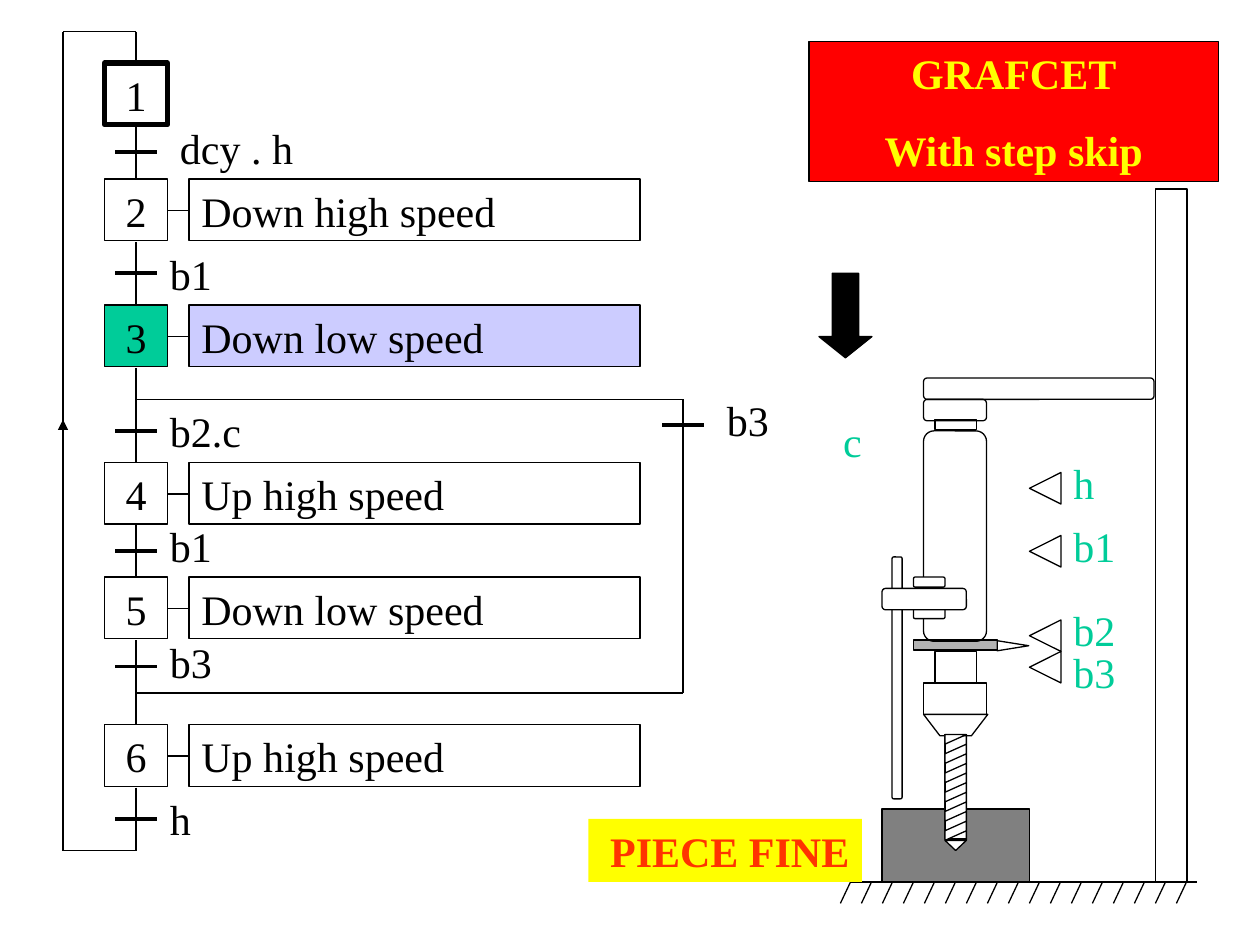
from lxml import etree
from pptx import Presentation
from pptx.dml.color import RGBColor
from pptx.enum.shapes import MSO_CONNECTOR, MSO_SHAPE
from pptx.enum.text import MSO_ANCHOR, MSO_AUTO_SIZE, PP_ALIGN
from pptx.oxml.ns import qn
from pptx.util import Inches, Pt

RECTANGLE, ROUNDED = MSO_SHAPE.RECTANGLE, MSO_SHAPE.ROUNDED_RECTANGLE
TRIANGLE, DOWN_ARROW = MSO_SHAPE.ISOSCELES_TRIANGLE, MSO_SHAPE.DOWN_ARROW
STRAIGHT = MSO_CONNECTOR.STRAIGHT
LEFT, CENTER, RIGHT = PP_ALIGN.LEFT, PP_ALIGN.CENTER, PP_ALIGN.RIGHT
TOP, NO_AUTO_SIZE = MSO_ANCHOR.TOP, MSO_AUTO_SIZE.NONE
FONT, SIZE = "Times New Roman", 24
BLACK, WHITE, GREEN, LAVENDER = "000000", "FFFFFF", "00CC99", "CCCCFF"
YELLOW, RED, ORANGE = "FFFF00", "FF0000", "FF3300"
GREY, LIGHT_GREY = "808080", "B2B2B2"

TITLE = ["GRAFCET", "With step skip"]
STEPS = [
    (0.5, "1", None, None, None, 3),
    (1.42, "2", "Down high speed", None, None, 0.75),
    (2.42, "3", "Down low speed", GREEN, LAVENDER, 0.75),
    (3.67, "4", "Up high speed", None, None, 0.75),
    (4.58, "5", "Down low speed", None, None, 0.75),
    (5.75, "6", "Up high speed", None, None, 0.75),
]
AXIS, BRANCH, RETURN = 1.08, 5.42, 0.5
TRANSITIONS = [
    (AXIS, 1, 1.42, "dcy . h", 1.33, 0.92),
    (AXIS, 1.92, 2.42, "b1", 1.25, 1.92),
    (AXIS, 3.17, 3.67, "b2.c", 1.25, 3.17),
    (AXIS, 4.17, 4.58, "b1", 1.25, 4.08),
    (AXIS, 5.08, 5.5, "b3", 1.25, 5),
    (AXIS, 6.25, 6.75, "h", 1.25, 6.25),
    (BRANCH, 3.17, 3.58, "b3", 5.67, 3.08),
]
LINKS = [
    (RETURN, 6.75, RETURN, 0.25),
    (RETURN, 0.25, AXIS, 0.25),
    (AXIS, 0.25, AXIS, 0.5),
    (AXIS, 2.92, AXIS, 3.25),
    (AXIS, 3.17, BRANCH, 3.17),
    (AXIS, 5.5, AXIS, 5.75),
    (AXIS, 5.5, BRANCH, 5.5),
    (BRANCH, 5.5, BRANCH, 3.5),
    (RETURN, 6.75, AXIS, 6.75),
]
SENSORS = [("h", 3.75, 3.58), ("b1", 4.25, 4.08), ("b2", 4.92, 4.75), ("b3", 5.17, 5.08)]
GROUND, HATCH_COUNT = 7, 17
MACHINE = [
    (ROUNDED, 7.08, 4.42, 0.08, 1.92, None),
    (RECTANGLE, 9.17, 1.5, 0.25, 5.5, None),
    (DOWN_ARROW, 6.5, 2.17, 0.42, 0.67, BLACK),
    (RECTANGLE, 7, 6.42, 1.17, 0.58, GREY),
    (RECTANGLE, 7.5, 5.83, 0.17, 0.83, WHITE),
    (RECTANGLE, 7.33, 5.42, 0.5, 0.25, None),
    (RECTANGLE, 7.42, 5.17, 0.33, 0.25, None),
    (RECTANGLE, 7.25, 5.08, 0.67, 0.08, LIGHT_GREY),
    (ROUNDED, 7.33, 3.42, 0.5, 1.67, None),
    (RECTANGLE, 7.42, 3.33, 0.33, 0.08, None),
    (ROUNDED, 7.33, 3.17, 0.5, 0.17, None),
    (ROUNDED, 7.25, 4.58, 0.25, 0.08, WHITE),
    (ROUNDED, 7.25, 4.83, 0.25, 0.08, WHITE),
    (ROUNDED, 7, 4.67, 0.67, 0.17, WHITE),
    (ROUNDED, 7.33, 3, 1.83, 0.17, None),
]
CHUCK = [(7.33, 5.67), (7.46, 5.84), (7.71, 5.84), (7.84, 5.67)]
BIT_LEFT, BIT_RIGHT, BIT_TOP, BIT_BOTTOM, TURNS = 7.5, 7.67, 5.83, 6.67, 5


def paint(shape, fill, line=BLACK, width=0.75):
    """Set the fill and outline, where None means none."""
    if fill:
        shape.fill.solid()
        shape.fill.fore_color.rgb = RGBColor.from_string(fill)
    else:
        shape.fill.background()
    if line:
        shape.line.color.rgb = RGBColor.from_string(line)
        shape.line.width = Pt(width)
    else:
        shape.line.fill.background()


def write(shape, text, color=BLACK, align=LEFT, bold=False, wrap=True):
    """Put formatted text at the top of a shape."""
    frame = shape.text_frame
    frame.text = text
    frame.auto_size = NO_AUTO_SIZE
    frame.word_wrap = wrap
    frame.vertical_anchor = TOP
    frame.margin_left = frame.margin_right = Inches(0.1)
    frame.margin_top = frame.margin_bottom = Inches(0.05)
    for index, paragraph in enumerate(frame.paragraphs):
        paragraph.alignment = align
        paragraph.space_before = Pt(15 if index else 0)
        for run in paragraph.runs:
            run.font.name, run.font.size, run.font.bold = FONT, Pt(SIZE), bold
            run.font.color.rgb = RGBColor.from_string(color)


def add_shape(slide, kind, left, top, width, height, fill=None, line=BLACK, weight=0.75):
    """Add a preset shape."""
    shape = slide.shapes.add_shape(kind, Inches(left), Inches(top), Inches(width), Inches(height))
    shape.shadow.inherit = False
    paint(shape, fill, line, weight)
    return shape


def add_label(slide, text, left, top, width, color=BLACK, align=LEFT, wrap=True):
    """Add a text box."""
    box = slide.shapes.add_textbox(Inches(left), Inches(top), Inches(width), Inches(0.5))
    write(box, text, color, align, wrap=wrap)


def add_line(slide, x1, y1, x2, y2, weight=0.75, arrow=False):
    """Add a straight line, with an arrowhead at its end if asked."""
    line = slide.shapes.add_connector(STRAIGHT, Inches(x1), Inches(y1), Inches(x2), Inches(y2))
    line.line.color.rgb = RGBColor.from_string(BLACK)
    line.line.width = Pt(weight)
    properties = line.line._get_or_add_ln()
    if arrow:
        etree.SubElement(properties, qn("a:tailEnd"), type="triangle")
    etree.SubElement(properties.getparent(), qn("a:effectLst"))


def add_outline(slide, points, fill=None):
    """Add a closed polygon."""
    corners = [(Inches(x), Inches(y)) for x, y in points]
    builder = slide.shapes.build_freeform(*corners[0])
    builder.add_line_segments(corners[1:], close=True)
    shape = builder.convert_to_shape()
    shape.shadow.inherit = False
    paint(shape, fill)


def add_grafcet(slide):
    """Draw the steps, actions, transitions and links."""
    for top, number, action, step_fill, action_fill, weight in STEPS:
        step = add_shape(slide, RECTANGLE, 0.83, top, 0.5, 0.49, step_fill, weight=weight)
        write(step, number, align=CENTER)
        if action:
            add_line(slide, 1.33, top + 0.25, 1.5, top + 0.25)
            write(add_shape(slide, RECTANGLE, 1.5, top, 3.58, 0.49, action_fill), action)
    for x, start, end, label, left, top in TRANSITIONS:
        middle = (start + end) / 2
        add_line(slide, x, start, x, end)
        add_line(slide, x - 0.165, middle, x + 0.165, middle, 2.25)
        add_label(slide, label, left, top, 1.17)
    for link in LINKS:
        add_line(slide, *link)
    add_line(slide, RETURN, 4, RETURN, 3.33, arrow=True)


def add_drill(slide):
    """Draw the drilling machine, its sensors and the ground."""
    for label, top, label_top in SENSORS:
        add_shape(slide, TRIANGLE, 8.17, top, 0.25, 0.25).rotation = 270
        add_label(slide, label, 8.42, label_top, 0.53, GREEN, wrap=False)
    add_label(slide, "c", 6.59, 3.25, 0.35, GREEN, CENTER, wrap=False)
    add_line(slide, 6.75, GROUND, 9.5, GROUND)
    for index in range(HATCH_COUNT):
        x = 6.75 + index / 6
        add_line(slide, x, GROUND, x - 0.08, GROUND + 0.17)
    for kind, left, top, width, height, fill in MACHINE:
        shape = add_shape(slide, kind, left, top, width, height, fill)
        if kind == DOWN_ARROW:
            shape.adjustments[1] = 0.4
    add_shape(slide, TRIANGLE, 8, 5, 0.08, 0.25).rotation = 90
    add_outline(slide, CHUCK)
    half_turn = (BIT_BOTTOM - BIT_TOP) / (2 * TURNS + 1)
    points = [(BIT_LEFT, BIT_TOP), (BIT_RIGHT, BIT_TOP)]
    for turn in range(TURNS):
        upper = BIT_TOP + half_turn * (2 * turn + 1)
        points += [(x, y) for x in (BIT_LEFT, BIT_RIGHT) for y in (upper, upper + half_turn)]
    points += [(BIT_LEFT, BIT_BOTTOM), ((BIT_LEFT + BIT_RIGHT) / 2, 6.75), (BIT_RIGHT, BIT_BOTTOM),
               (BIT_RIGHT, BIT_TOP), (BIT_RIGHT, BIT_BOTTOM), (BIT_LEFT, BIT_BOTTOM)]
    add_outline(slide, points, WHITE)


def main():
    """Build and save the slide."""
    presentation = Presentation()
    presentation.slide_width, presentation.slide_height = Inches(10), Inches(7.5)
    slide = presentation.slides.add_slide(presentation.slide_layouts[5])
    add_grafcet(slide)
    add_drill(slide)
    piece = add_shape(slide, RECTANGLE, 4.67, 6.5, 2.17, 0.5, YELLOW, None)
    write(piece, "PIECE FINE", ORANGE, RIGHT, True)
    title = slide.shapes.title
    title.left, title.top, title.width, title.height = map(Inches, (6.42, 0.33, 3.25, 1.11))
    paint(title, RED)
    write(title, "\n".join(TITLE), YELLOW, CENTER, True)
    presentation.save("out.pptx")


if __name__ == "__main__":
    main()
